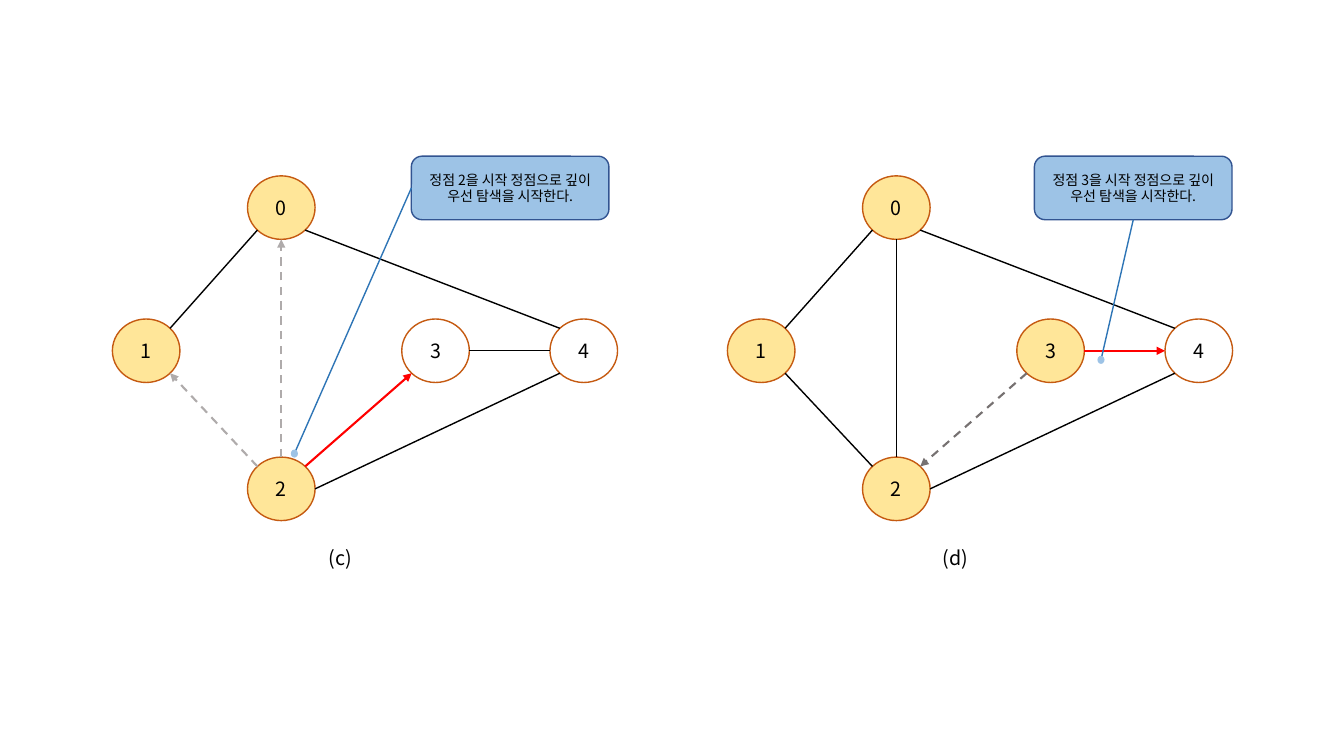
from math import cos, radians, sin

from lxml.etree import SubElement
from pptx import Presentation
from pptx.dml.color import RGBColor
from pptx.enum.dml import MSO_LINE
from pptx.enum.shapes import MSO_CONNECTOR, MSO_SHAPE
from pptx.enum.text import MSO_ANCHOR, PP_ALIGN
from pptx.oxml.ns import qn
from pptx.util import Inches, Pt

COLORS = {
    "text": "000000", "visited": "FFE699", "unvisited": "FFFFFF",
    "outline": "C55A11", "edge": "000000", "next": "FF0000",
    "back": "AFABAB", "back_dark": "767171", "callout": "9DC3E6",
    "callout_line": "325491", "leader": "2E75B6",
}
NODE_W, NODE_H = 0.67, 0.63
CALLOUT_W, CALLOUT_H, CALLOUT_TOP = 1.96, 0.63, 1.55
DOT_W, DOT_H = 0.07, 0.08
PANEL_STEP = 6.1
VERTICES = {"0": (2.79, 2.06), "1": (1.45, 3.48), "2": (2.79, 4.85),
            "3": (4.32, 3.48), "4": (5.79, 3.48)}
ANGLES = {"E": 0, "SE": 45, "S": 90, "SW": 135, "W": 180, "NW": 225, "N": 270, "NE": 315}


class GraphSlide:
    """Draws graph search steps on one slide in a shared style."""

    def __init__(self, slide, font="Noto Sans CJK KR"):
        self.shapes = slide.shapes
        self.font = font

    def color(self, name):
        return RGBColor.from_string(COLORS[name])

    def label(self, shape, text, size):
        shape.text_frame.word_wrap = True
        shape.text_frame.text = text
        paragraph = shape.text_frame.paragraphs[0]
        paragraph.alignment = PP_ALIGN.CENTER
        paragraph.font.name = self.font
        paragraph.font.size = Pt(size)
        paragraph.font.color.rgb = self.color("text")
        for run in paragraph.runs:
            SubElement(run._r.get_or_add_rPr(), qn("a:ea"), typeface=self.font)

    def shape(self, kind, left, top, width, height, fill, line=None, text="", size=14):
        shape = self.shapes.add_shape(
            kind, Inches(left), Inches(top), Inches(width), Inches(height))
        shape.shadow.inherit = False
        shape.fill.solid()
        shape.fill.fore_color.rgb = self.color(fill)
        if line:
            shape.line.color.rgb = self.color(line)
            shape.line.width = Pt(1)
        else:
            shape.line.fill.background()
        if text:
            shape.text_frame.vertical_anchor = MSO_ANCHOR.MIDDLE
            self.label(shape, text, size)

    def line(self, start, end, color="edge", width=1, arrow=False, dashed=False):
        line = self.shapes.add_connector(
            MSO_CONNECTOR.STRAIGHT, *(Inches(value) for value in (*start, *end)))
        line.line.color.rgb = self.color(color)
        line.line.width = Pt(width)
        if dashed:
            line.line.dash_style = MSO_LINE.DASH
        if arrow:
            SubElement(line.line._get_or_add_ln(), qn("a:tailEnd"), type="triangle")
        SubElement(line._element.spPr, qn("a:effectLst"))

    def vertex(self, name, center, visited):
        x, y = center
        self.shape(MSO_SHAPE.OVAL, x - NODE_W / 2, y - NODE_H / 2, NODE_W, NODE_H,
                   "visited" if visited else "unvisited", "outline", name)

    def caption(self, text, left):
        box = self.shapes.add_textbox(Inches(left), Inches(5.37), Inches(2.99), Inches(0.34))
        self.label(box, text, 14)

    def callout(self, vertex, left, anchor, dot):
        self.shape(MSO_SHAPE.ROUNDED_RECTANGLE, left, CALLOUT_TOP, CALLOUT_W, CALLOUT_H,
                   "callout", "callout_line",
                   f"정점 {vertex}을 시작 정점으로 깊이 우선 탐색을 시작한다.", 10)
        self.line(dot, anchor, "leader")
        self.shape(MSO_SHAPE.OVAL, dot[0] - DOT_W / 2, dot[1] - DOT_H / 2,
                   DOT_W, DOT_H, "callout")

    def panel(self, caption, shift, visited, edges):
        centers = {name: (x + shift, y) for name, (x, y) in VERTICES.items()}
        for name, center in centers.items():
            self.vertex(name, center, name in visited)
        self.caption(caption, 1.88 + shift)
        for source, source_side, target, target_side, style in edges:
            self.line(rim(centers[source], source_side),
                      rim(centers[target], target_side), **style)


def rim(center, side):
    angle = radians(ANGLES[side])
    return center[0] + NODE_W / 2 * cos(angle), center[1] + NODE_H / 2 * sin(angle)


PLAIN = {}
NEXT = {"color": "next", "width": 1.5, "arrow": True}
BACK = {"color": "back", "width": 1.5, "arrow": True, "dashed": True}
BACK_DARK = {**BACK, "color": "back_dark"}
SHARED_EDGES = [("4", "NW", "0", "SE", PLAIN), ("0", "SW", "1", "NE", PLAIN),
                ("4", "SW", "2", "E", PLAIN)]

presentation = Presentation()
presentation.slide_width, presentation.slide_height = Inches(13.33), Inches(7.5)
graph = GraphSlide(presentation.slides.add_slide(presentation.slide_layouts[6]))

graph.panel("(c)", 0, "012", SHARED_EDGES + [
    ("2", "NE", "3", "SW", NEXT), ("3", "E", "4", "W", PLAIN),
    ("2", "N", "0", "S", BACK), ("2", "NW", "1", "SE", BACK)])
graph.panel("(d)", PANEL_STEP, "0123", SHARED_EDGES + [
    ("3", "SW", "2", "NE", BACK_DARK), ("0", "S", "2", "N", PLAIN),
    ("1", "SE", "2", "NW", PLAIN), ("3", "E", "4", "W", NEXT)])
graph.callout("2", 4.08, (4.08, CALLOUT_TOP + CALLOUT_H / 2), (2.92, 4.5))
graph.callout("3", 10.26, (10.26 + CALLOUT_W / 2, CALLOUT_TOP + CALLOUT_H), (10.92, 3.57))

presentation.save("out.pptx")
